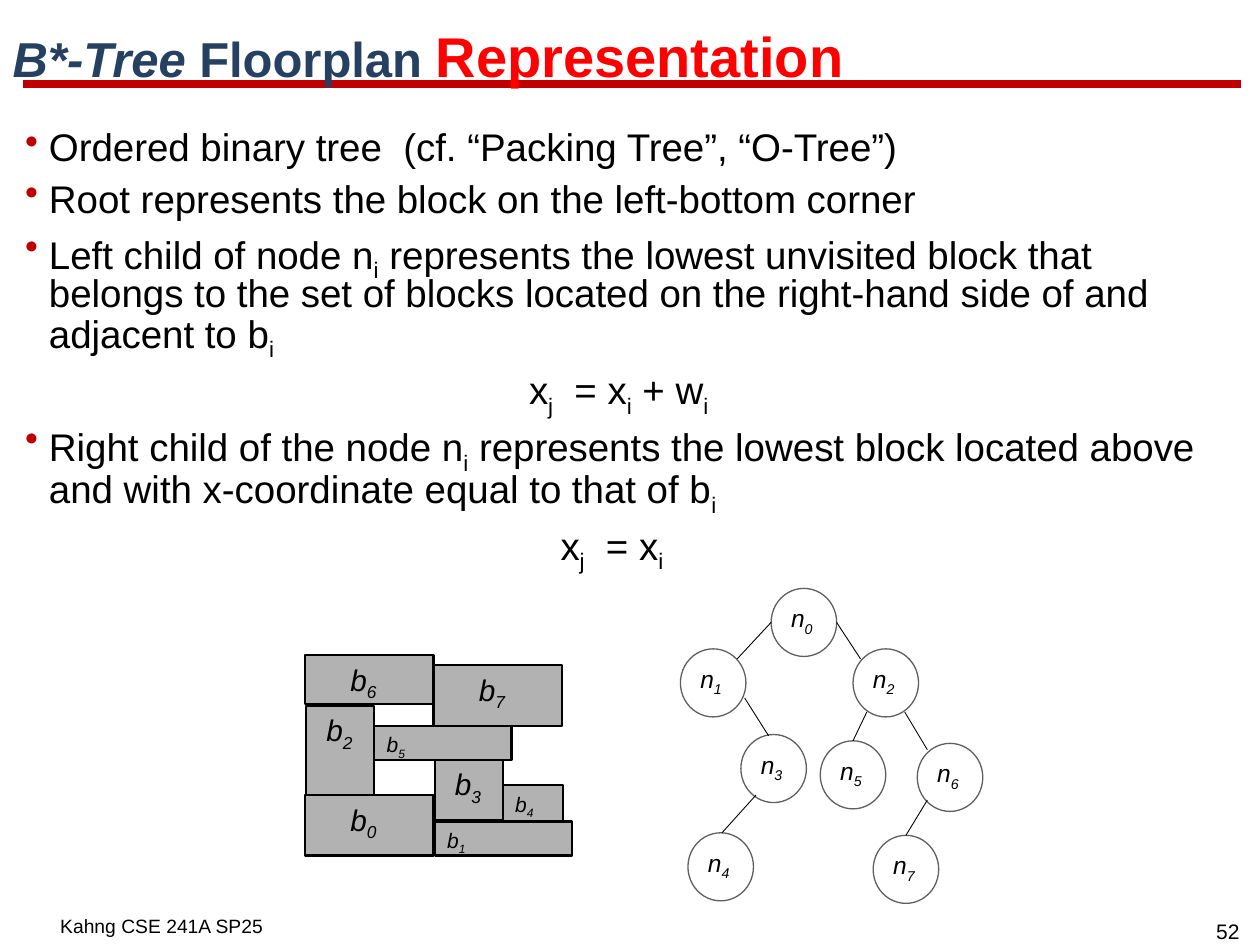
from lxml.etree import SubElement
from pptx import Presentation
from pptx.dml.color import RGBColor
from pptx.enum.shapes import MSO_CONNECTOR, MSO_SHAPE
from pptx.enum.text import MSO_ANCHOR, MSO_AUTO_SIZE, PP_ALIGN
from pptx.oxml.ns import qn
from pptx.util import Inches, Pt

RED = RGBColor(0xC0, 0x00, 0x00)
BRIGHT_RED = RGBColor(0xFF, 0x00, 0x00)
NAVY = RGBColor(0x25, 0x40, 0x61)
BLACK = RGBColor(0x00, 0x00, 0x00)
BLOCK_GRAY = RGBColor(0xB2, 0xB2, 0xB2)
NODE_GRAY = RGBColor(0x5F, 0x5F, 0x5F)

# Text segments alternate between normal text and subscript
BODY = [
    ("bullet", ["Ordered binary tree  (cf. “Packing Tree”, “O-Tree”)"]),
    ("bullet", ["Root represents the block on the left-bottom corner"]),
    ("bullet", ["Left child of node n", "i",
                " represents the lowest unvisited block that belongs to the set of blocks "
                "located on the right-hand side of and adjacent to b", "i"]),
    (4.0, ["x", "j", "  = x", "i", " + w", "i"]),
    ("bullet", ["Right child of the node n", "i",
                " represents the lowest block located above and with x-coordinate "
                "equal to that of b", "i"]),
    (4.25, ["x", "j", "  = x", "i"]),
]

# Left, top, width, height within the floorplan; label size and indent
BLOCKS = [
    (0, 1.11, 1.02, 0.48, 17, 0.36),
    (1.03, 1.32, 1.09, 0.27, 12, 0.1),
    (0.01, 0.4, 0.54, 0.71, 17, 0.16),
    (1.03, 0.83, 0.54, 0.48, 17, 0.16),
    (1.57, 1.03, 0.48, 0.29, 12, 0.1),
    (0.55, 0.56, 1.09, 0.27, 12, 0.1),
    (0, 0, 1.02, 0.39, 17, 0.36),
    (1.02, 0.08, 1.02, 0.48, 17, 0.36),
]

# Left and top of each node within the tree, n0 to n7
NODES = [(0.72, 0), (0, 0.48), (1.37, 0.48), (0.48, 1.16),
         (0.06, 1.94), (1.11, 1.21), (1.88, 1.23), (1.53, 1.96)]
EDGES = [
    (0.45, 0.56, 0.72, 0.27), (0.33, 1.94, 0.6, 1.64), (1.79, 1.96, 1.96, 1.68),
    (1.24, 0.27, 1.43, 0.56), (0.51, 0.87, 0.7, 1.17), (1.78, 0.98, 1.96, 1.28),
    (1.37, 1.21, 1.48, 0.98),
]


def add_run(paragraph, text, size, color=BLACK, bold=False, italic=False, subscript=False):
    run = paragraph.add_run()
    run.text = text
    font = run.font
    font.name, font.size, font.bold, font.italic = "Arial", Pt(size), bold, italic
    font.color.rgb = color
    if subscript:
        run._r.get_or_add_rPr().set("baseline", "-25000")


def add_segments(paragraph, segments, size, italic=False):
    for index, text in enumerate(segments):
        add_run(paragraph, text, size, italic=italic, subscript=index % 2 == 1)


def add_line(shapes, x1, y1, x2, y2, color, width):
    line = shapes.add_connector(MSO_CONNECTOR.STRAIGHT,
                                Inches(x1), Inches(y1), Inches(x2), Inches(y2))
    line.line.color.rgb = color
    line.line.width = Pt(width)
    SubElement(line._element.spPr, qn("a:effectLst"))
    return line


def add_box(shapes, left, top, width, height, wrap=True):
    box = shapes.add_textbox(Inches(left), Inches(top), Inches(width), Inches(height))
    box.text_frame.word_wrap = wrap
    return box.text_frame


def add_outlined_shape(shapes, kind, box, color, width):
    shape = shapes.add_shape(kind, *(Inches(length) for length in box))
    shape.shadow.inherit = False
    shape.line.color.rgb = color
    shape.line.width = Pt(width)
    return shape


def build_title(slide, left, top, width, height):
    # Rule behind the title
    rule = add_line(slide.shapes, 0.18, 0.67, 9.85, 0.67, RED, 4.5)
    title = slide.shapes.title
    title._element.addprevious(rule._element)
    title.left, title.top = Inches(left), Inches(top)
    title.width, title.height = Inches(width), Inches(height)
    frame = title.text_frame
    frame.auto_size = MSO_AUTO_SIZE.NONE
    frame.vertical_anchor = MSO_ANCHOR.BOTTOM
    paragraph = frame.paragraphs[0]
    paragraph.alignment = PP_ALIGN.LEFT
    paragraph.line_spacing = 0.8
    add_run(paragraph, "B*-Tree ", 28, NAVY, bold=True, italic=True)
    add_run(paragraph, "Floorplan ", 28, NAVY, bold=True)
    add_run(paragraph, "Representation", 32, BRIGHT_RED, bold=True)


def set_indent(paragraph, style):
    properties = paragraph._p.get_or_add_pPr()
    if style != "bullet":
        properties.set("marL", str(Inches(style)))
        return
    properties.set("marL", str(Inches(0.19)))
    properties.set("indent", str(Inches(-0.19)))
    color = SubElement(properties, qn("a:buClr"))
    SubElement(color, qn("a:srgbClr"), val=str(RED))
    SubElement(properties, qn("a:buChar"), char="•")


def build_body(slide, left, top, width, height):
    frame = add_box(slide.shapes, left, top, width, height)
    for index, (style, segments) in enumerate(BODY):
        paragraph = frame.add_paragraph() if index else frame.paragraphs[0]
        set_indent(paragraph, style)
        paragraph.line_spacing = 0.8
        paragraph.space_before = Pt(8.4 if index else 0)
        add_segments(paragraph, segments, 22)


def build_floorplan(slide, left, top):
    shapes = slide.shapes.add_group_shape().shapes
    for index, (x, y, width, height, size, indent) in enumerate(BLOCKS):
        block = add_outlined_shape(shapes, MSO_SHAPE.RECTANGLE,
                                   (left + x, top + y, width, height), BLACK, 1.25)
        block.fill.solid()
        block.fill.fore_color.rgb = BLOCK_GRAY
        frame = block.text_frame
        frame.vertical_anchor = MSO_ANCHOR.TOP
        frame.margin_left = Inches(indent)
        frame.margin_right = 0
        paragraph = frame.paragraphs[0]
        paragraph.alignment = PP_ALIGN.LEFT
        add_segments(paragraph, ["b", str(index)], size, italic=True)


def build_tree(slide, left, top):
    shapes = slide.shapes.add_group_shape().shapes
    for index, (x, y) in enumerate(NODES):
        node = add_outlined_shape(shapes, MSO_SHAPE.OVAL,
                                  (left + x, top + y, 0.52, 0.54), NODE_GRAY, 0.75)
        node.fill.background()
        label = add_box(shapes, left + x + 0.06, top + y + 0.07, 0.44, 0.4, wrap=False)
        add_segments(label.paragraphs[0], ["n", str(index)], 14, italic=True)
    for x1, y1, x2, y2 in EDGES:
        add_line(shapes, left + x1, top + y1, left + x2, top + y2, BLACK, 0.5)


def build_footer(slide):
    number = add_box(slide.shapes, 9.5, 7.24, 0.49, 0.3).paragraphs[0]
    number.alignment = PP_ALIGN.CENTER
    add_run(number, "52", 12)
    course = add_box(slide.shapes, 0.38, 7.21, 1.87, 0.27).paragraphs[0]
    add_run(course, "Kahng CSE 241A SP25", 11)


def main():
    presentation = Presentation()
    presentation.slide_width, presentation.slide_height = Inches(10), Inches(7.5)
    slide = presentation.slides.add_slide(presentation.slide_layouts[5])
    build_title(slide, 0, 0.04, 9.98, 0.71)
    build_body(slide, 0.1, 1, 9.81, 3.17)
    build_floorplan(slide, 2.42, 5.2)
    build_tree(slide, 5.4, 4.67)
    build_footer(slide)
    presentation.save("out.pptx")


if __name__ == "__main__":
    main()
